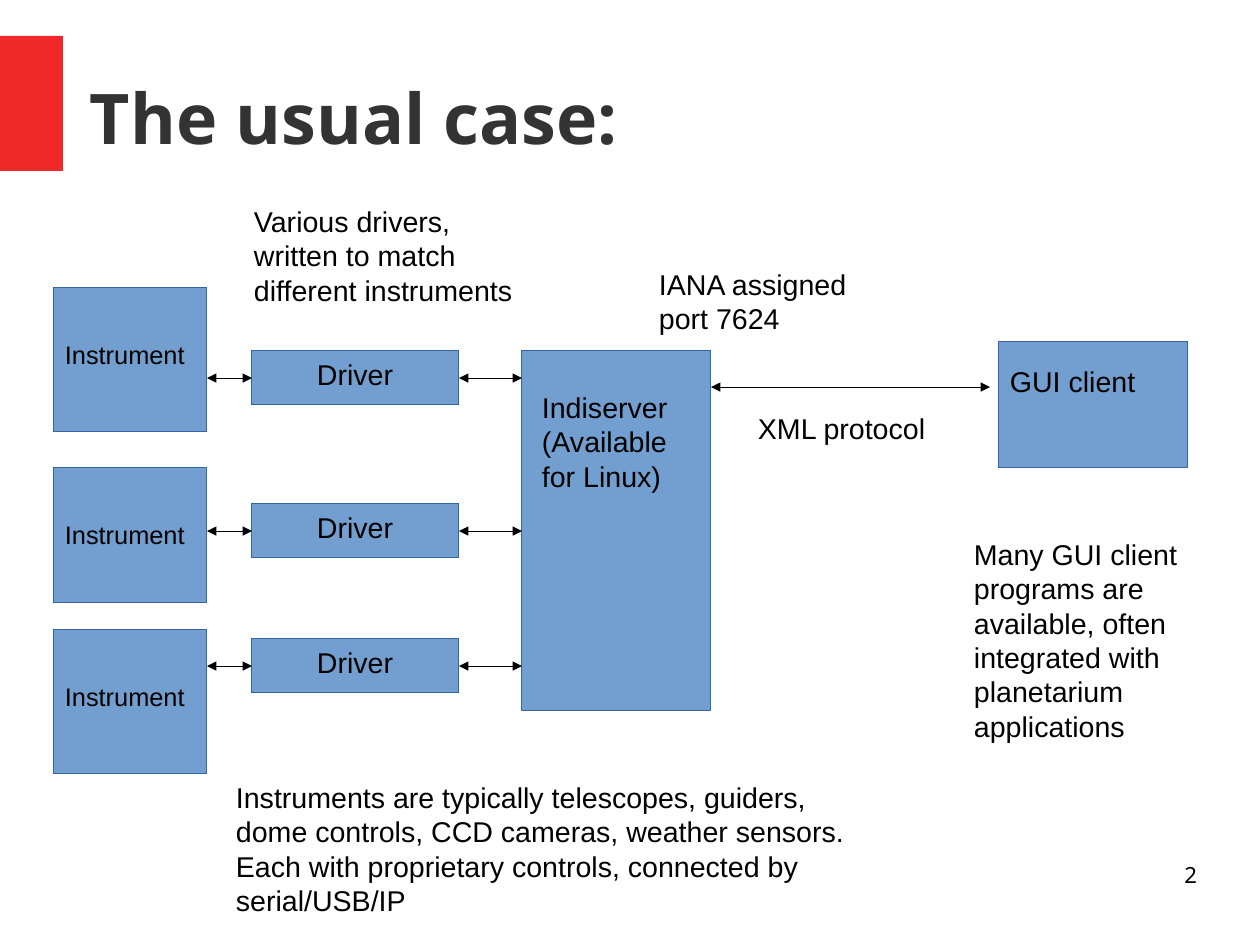
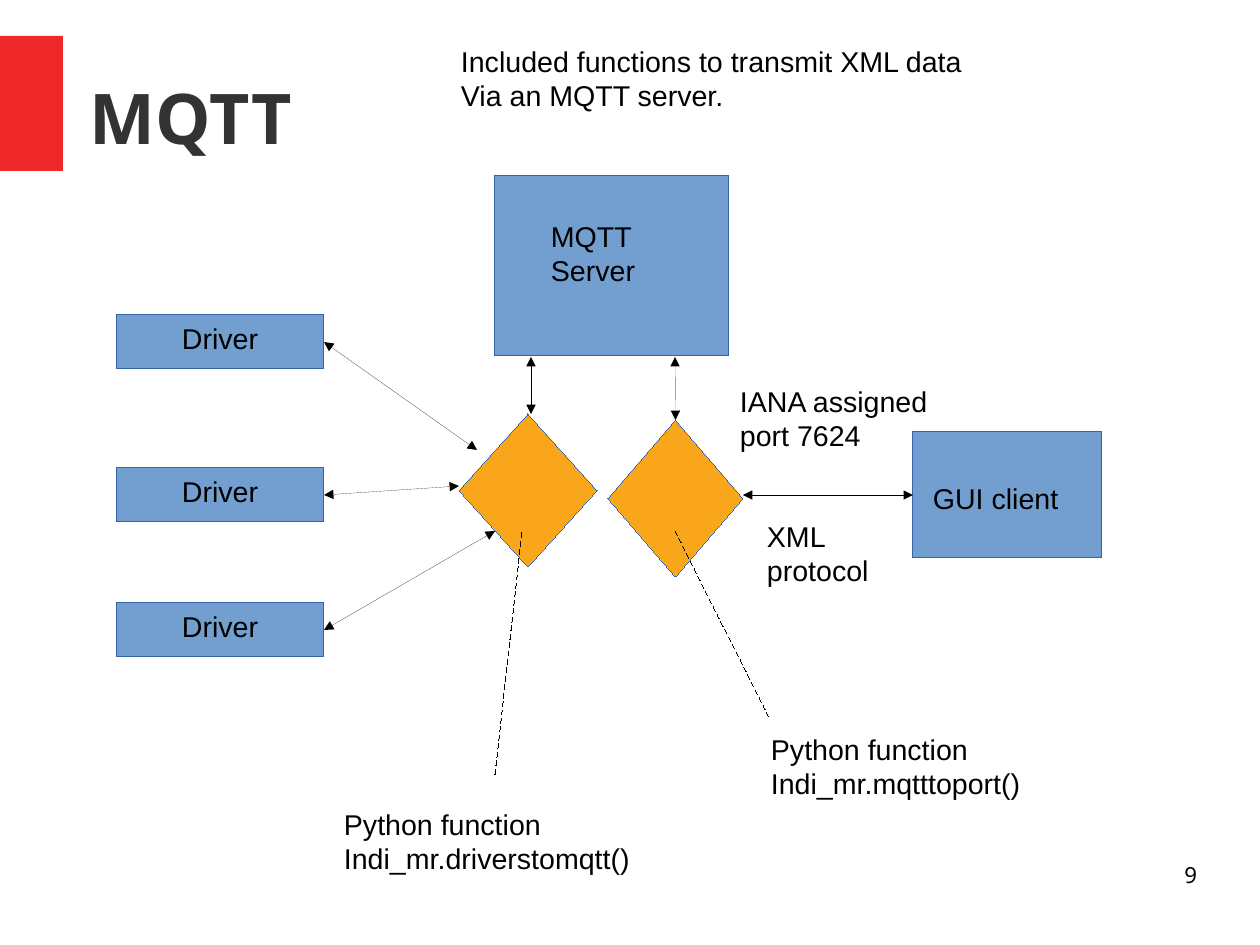
from dataclasses import dataclass
from typing import NamedTuple, Optional, Union

from lxml.etree import SubElement
from pptx import Presentation
from pptx.dml.color import RGBColor
from pptx.enum.dml import MSO_LINE_DASH_STYLE as DASH
from pptx.enum.shapes import MSO_CONNECTOR as CONNECTOR, MSO_SHAPE as SHAPE
from pptx.enum.text import MSO_ANCHOR as ANCHOR, PP_ALIGN as ALIGN
from pptx.oxml.ns import qn
from pptx.shapes.autoshape import Shape
from pptx.slide import Slide
from pptx.util import Emu, Pt

PX = 8000  # EMU in one px; the slide is 1260 px wide
TOP, LEFT, BOTTOM, RIGHT = range(4)
DRIVER_W, DRIVER_H = 207, 54


@dataclass(frozen=True)
class Theme:
    band: str = "EF2929"
    title: str = "333333"
    ink: str = "000000"
    box: str = "729FCF"
    function: str = "FAA61A"
    outline: str = "3465A4"
    head_font: str = "Noto Sans"
    body_font: str = "Arial"
    title_size: int = 44
    body_size: int = 18
    small_size: int = 16
    number_size: int = 14


THEME = Theme()


class Box(NamedTuple):
    x: int
    y: int
    w: int
    h: int


class Point(NamedTuple):
    x: int
    y: int


class Joint(NamedTuple):
    """The middle of one side of a shape."""
    shape: Shape
    side: int


class Label(NamedTuple):
    text: str
    box: Box


class Row(NamedTuple):
    """An instrument and the driver that serves it."""
    instrument: Box
    driver_y: int


class DriverLink(NamedTuple):
    driver_y: int
    target: Point


End = Union[Point, Joint]


def px(n: int) -> Emu:
    return Emu(n * PX)


def drop_style(shape) -> None:
    """Remove the theme style, which would thicken a hairline."""
    shape._element.remove(shape._element.find(qn("p:style")))


def add_text(slide: Slide, text: str, box: Box, *, size: int = THEME.body_size,
             font: str = THEME.body_font, color: str = THEME.ink, bold: bool = False,
             align: ALIGN = ALIGN.LEFT, anchor: ANCHOR = ANCHOR.TOP,
             inset: tuple[int, int] = (11, 6)) -> None:
    tf = slide.shapes.add_textbox(*map(px, box)).text_frame
    tf.word_wrap = True
    tf.vertical_anchor = anchor
    tf.margin_left = tf.margin_right = px(inset[0])
    tf.margin_top = tf.margin_bottom = px(inset[1])
    for i, line in enumerate(text.split("\n")):
        p = tf.paragraphs[0] if i == 0 else tf.add_paragraph()
        p.alignment = align
        r = p.add_run()
        r.text = line
        r.font.name, r.font.size, r.font.bold = font, Pt(size), bold
        r.font.color.rgb = RGBColor.from_string(color)


def add_box(slide: Slide, box: Box, fill: str = THEME.box, kind: SHAPE = SHAPE.RECTANGLE,
            outline: Optional[str] = THEME.outline) -> Shape:
    sp = slide.shapes.add_shape(kind, *map(px, box))
    drop_style(sp)
    sp.shadow.inherit = False
    sp.fill.solid()
    sp.fill.fore_color.rgb = RGBColor.from_string(fill)
    if outline:
        sp.line.color.rgb = RGBColor.from_string(outline)
        sp.line.width = Pt(0)
    else:
        sp.line.fill.background()
    return sp


def add_link(slide: Slide, start: End, end: End, pointer: bool = False) -> None:
    """Draw a two-headed arrow, or a plain dashed pointer."""
    places = [Point(0, 0) if isinstance(e, Joint) else e for e in (start, end)]
    c = slide.shapes.add_connector(CONNECTOR.STRAIGHT, *(px(n) for pt in places for n in pt))
    drop_style(c)
    if isinstance(start, Joint):
        c.begin_connect(*start)
    if isinstance(end, Joint):
        c.end_connect(*end)
    c.line.color.rgb = RGBColor.from_string(THEME.ink)
    c.line.width = Pt(0)
    if pointer:
        c.line.dash_style = DASH.DASH
    else:
        ln = c.line._get_or_add_ln()
        for tag in ("a:headEnd", "a:tailEnd"):
            SubElement(ln, qn(tag), type="triangle")
    SubElement(c._element.spPr, qn("a:effectLst"))


def add_driver(slide: Slide, x: int, y: int) -> Shape:
    sp = add_box(slide, Box(x, y, DRIVER_W, DRIVER_H))
    add_text(slide, "Driver", Box(x + 54, y, 117, 43))
    return sp


def add_labels(slide: Slide, labels: list[Label]) -> None:
    for label in labels:
        add_text(slide, label.text, label.box)


def add_slide(prs, title: str, number: int) -> Slide:
    slide = prs.slides.add_slide(prs.slide_layouts[6])
    add_box(slide, Box(0, 36, 63, 135), THEME.band, outline=None)
    add_text(slide, title, Box(90, 38, 1106, 158), size=THEME.title_size, font=THEME.head_font,
             color=THEME.title, bold=True, anchor=ANCHOR.MIDDLE, inset=(0, 0))
    add_text(slide, str(number), Box(903, 861, 294, 65), size=THEME.number_size,
             font=THEME.head_font, align=ALIGN.RIGHT, inset=(0, 0))
    return slide


def usual_case(prs) -> None:
    slide = add_slide(prs, "The usual case:", 2)
    server = Box(522, 351, 189, 360)
    add_box(slide, server)
    add_box(slide, Box(999, 342, 189, 126))
    add_link(slide, Point(711, 387), Point(990, 387))
    rows = [
        Row(Box(54, 288, 153, 144), 351),
        Row(Box(54, 468, 153, 135), 504),
        Row(Box(54, 630, 153, 144), 639),
    ]
    for instrument, driver_y in rows:
        x, y, w, _ = instrument
        add_box(slide, instrument)
        add_text(slide, "Instrument", Box(x, y + 45, w, 40), size=THEME.small_size)
        driver = add_driver(slide, 252, driver_y)
        link_y = driver_y + DRIVER_H // 2
        add_link(slide, Point(x + w, link_y), Joint(driver, LEFT))
        add_link(slide, Joint(driver, RIGHT), Point(server.x, link_y))
    add_labels(slide, [
        Label("Indiserver (Available for Linux)", Box(531, 384, 162, 264)),
        Label("GUI client", Box(999, 358, 171, 56)),
        Label("Various drivers, written to match different instruments",
              Box(243, 198, 297, 107)),
        Label("IANA assigned port 7624", Box(648, 261, 216, 107)),
        Label("XML protocol", Box(747, 405, 207, 43)),
        Label("Many GUI client programs are available, often integrated with "
              "planetarium applications", Box(963, 531, 261, 203)),
        Label("Instruments are typically telescopes, guiders, dome controls, CCD cameras, "
              "weather sensors. Each with proprietary controls, connected by serial/USB/IP",
              Box(225, 774, 648, 139)),
    ])


def mqtt(prs) -> None:
    slide = add_slide(prs, "MQTT", 9)
    add_box(slide, Box(495, 176, 234, 180))
    gui = add_box(slide, Box(913, 432, 189, 126))
    add_box(slide, Box(459, 414, 138, 153), THEME.function, SHAPE.DIAMOND)
    to_port = add_box(slide, Box(608, 420, 135, 157), THEME.function, SHAPE.DIAMOND)
    driver_links = [
        DriverLink(315, Point(477, 450)),
        DriverLink(468, Point(459, 486)),
        DriverLink(603, Point(495, 531)),
    ]
    for driver_y, target in driver_links:
        driver = add_driver(slide, 117, driver_y)
        add_link(slide, Joint(driver, RIGHT), target)
    add_link(slide, Point(531, 414), Point(531, 357))
    add_link(slide, Point(675, 357), Joint(to_port, TOP))
    add_link(slide, Point(743, 495), Joint(gui, LEFT))
    add_link(slide, Point(675, 531), Point(769, 717), pointer=True)
    add_link(slide, Point(495, 774), Point(522, 531), pointer=True)
    add_labels(slide, [
        Label("MQTT Server", Box(540, 213, 153, 75)),
        Label("Included functions to transmit XML data\nVia an MQTT server.",
              Box(450, 38, 621, 75)),
        Label("Python function\nIndi_mr.mqtttoport()", Box(760, 726, 333, 107)),
        Label("Python function\nIndi_mr.driverstomqtt()", Box(333, 801, 333, 107)),
        Label("GUI client", Box(922, 475, 171, 56)),
        Label("IANA assigned port 7624", Box(729, 378, 216, 107)),
        Label("XML\nprotocol", Box(756, 513, 144, 75)),
    ])


def main() -> None:
    prs = Presentation()
    prs.slide_width, prs.slide_height = px(1260), px(945)
    usual_case(prs)
    mqtt(prs)
    prs.save("out.pptx")


if __name__ == "__main__":
    main()
